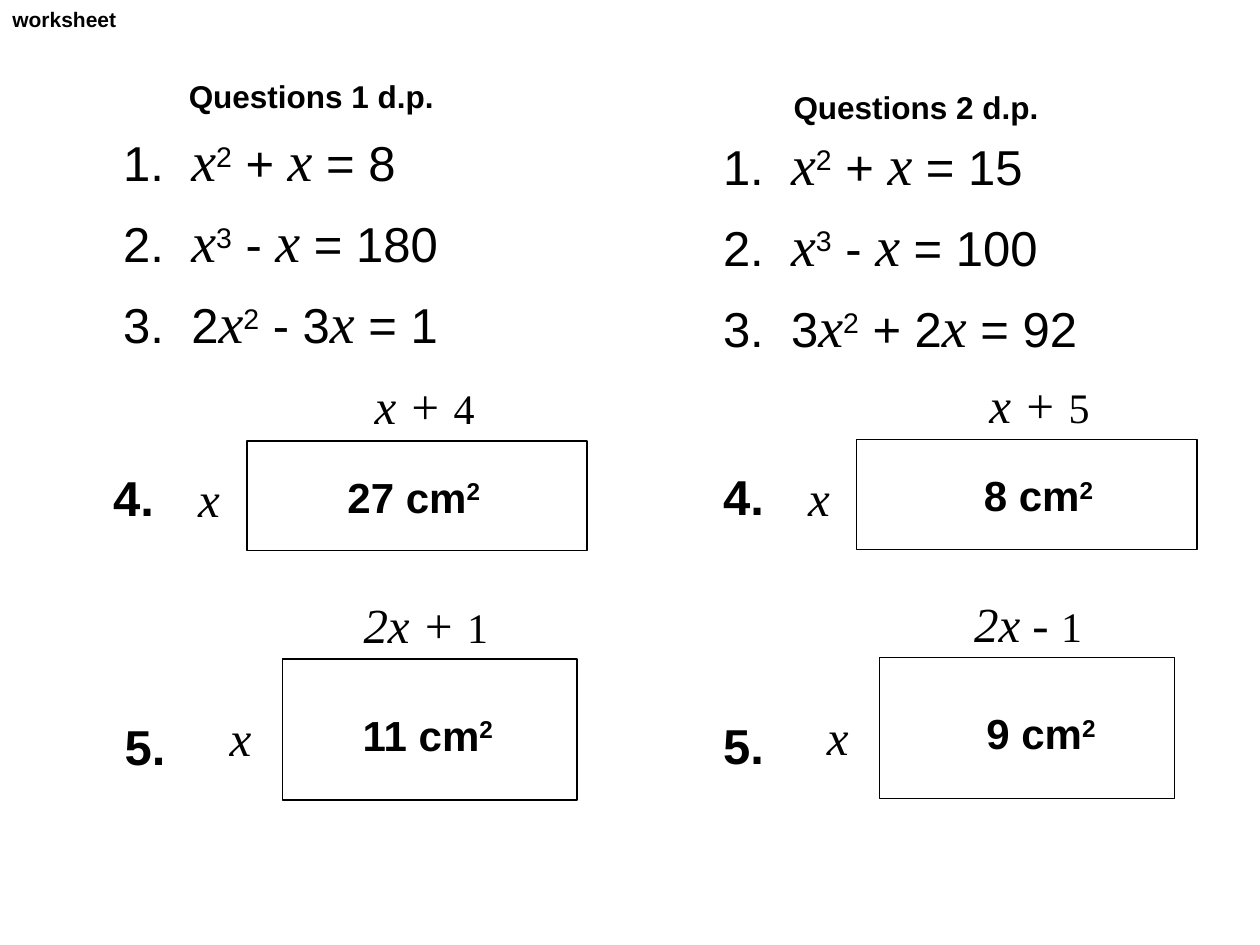
from pptx import Presentation
from pptx.dml.color import RGBColor
from pptx.enum.shapes import MSO_SHAPE
from pptx.enum.text import MSO_AUTO_SIZE, PP_ALIGN
from pptx.util import Inches, Pt

RECTANGLE = MSO_SHAPE.RECTANGLE
GROW = MSO_AUTO_SIZE.SHAPE_TO_FIT_TEXT
LEFT, CENTER = PP_ALIGN.LEFT, PP_ALIGN.CENTER
BLACK = "000000"
SANS, SERIF = "Arial", "Times New Roman"
COLUMNS, ROWS = 100, 75

# name: (font, size, bold, italic, raised)
RUN_STYLES = {
    "plain": (SANS, 28, False, False, False),
    "power": (SANS, 28, False, False, True),
    "variable": (SERIF, 32, False, True, False),
    "side": (SERIF, 28, False, True, False),
    "digit": (SERIF, 24, False, False, False),
    "number": (SANS, 28, True, False, False),
    "area": (SANS, 24, True, False, False),
    "area power": (SANS, 24, True, False, True),
    "heading": (SANS, 18, True, False, False),
    "title": (SANS, 12, True, False, False),
}


def color(value):
    return RGBColor.from_string(value)


class Worksheet:
    """Draws worksheet elements on a grid of 100 columns by 75 rows."""

    def __init__(self):
        self.presentation = Presentation()
        self.presentation.slide_width = Inches(10)
        self.presentation.slide_height = Inches(7.5)
        self.slide = self.presentation.slides.add_slide(self.presentation.slide_layouts[6])

    def place(self, column, row, width, height):
        across = self.presentation.slide_width / COLUMNS
        down = self.presentation.slide_height / ROWS
        return [round(n) for n in (column * across, row * down, width * across, height * down)]

    def text(self, box, runs, alignment=LEFT, right_gap=0, hanging=0):
        shape = self.slide.shapes.add_textbox(*self.place(*box))
        frame = shape.text_frame
        frame.word_wrap = True
        frame.auto_size = GROW
        frame.margin_right = Inches(0.1 + right_gap)
        paragraph = frame.paragraphs[0]
        paragraph.alignment = alignment
        if hanging:
            properties = paragraph._p.get_or_add_pPr()
            properties.set("marL", str(Inches(hanging)))
            properties.set("indent", str(-Inches(hanging)))
        for content, style in runs:
            run = paragraph.add_run()
            run.text = content
            font = run.font
            font.name, size, font.bold, font.italic, raised = RUN_STYLES[style]
            font.size = Pt(size)
            font.color.rgb = color(BLACK)
            if raised:
                font._element.set("baseline", "30000")

    def equation(self, column, row, number, factor, power, middle, result):
        runs = [(f"{number}.\t{factor}", "plain"), ("x", "variable"), (power, "power"),
                (middle, "plain"), ("x", "variable"), (f" = {result}", "plain")]
        self.text((column, row, 33, 6.4), runs, hanging=0.54)

    def rectangle(self, box):
        shape = self.slide.shapes.add_shape(RECTANGLE, *self.place(*box))
        shape.shadow.inherit = False
        shape.fill.background()
        shape.line.color.rgb = color(BLACK)
        shape.line.width = Pt(0.75)

    def area_problem(self, number, number_column, box, offsets, length, area):
        column, row = box[:2]
        side_column, side_row, number_row, area_row, length_row = offsets
        length_column, length_width, expression, digit, length_gap = length
        area_column, value = area
        self.rectangle(box)
        self.text((column + side_column, row + side_row, 10.2, 5.7), [("x", "side")],
                  CENTER, right_gap=0.2)
        self.text((area_column, row + area_row, 14.3, 5),
                  [(f"{value} cm", "area"), ("2", "area power")])
        self.text((length_column, row + length_row, length_width, 5.7),
                  [(expression, "side"), (digit, "digit")], CENTER, length_gap)
        self.text((number_column, row + number_row, 6.9, 5.7), [(f"{number}.", "number")])


# side column, side row, number row, area row, length row
WIDE_OFFSETS = (-7.1, 1.7, 1.6, 1.9, -5.7)
TALL_OFFSETS = (-7.4, 3.4, 4.1, 3.5, -5.6)

QUESTION_SETS = [
    {
        "heading": ("Questions 1 d.p.", (14, 5.6, 22.2, 4)),
        "start": (8.8, 9.5),
        "equations": [("", "2", " + ", 8), ("", "3", " - ", 180), ("2", "2", " - 3", 1)],
        "areas": [
            (4, 8, (19.6, 35, 27, 8.7), WIDE_OFFSETS, (28.6, 10.2, "x + ", "4", 0), (26.6, 27)),
            (5, 8.9, (22.4, 52.3, 23.4, 11.2), TALL_OFFSETS,
             (27.6, 12.4, "2x + ", "1", 0), (27.8, 11)),
        ],
    },
    {
        "heading": ("Questions 2 d.p.", (62, 6.5, 24.6, 4)),
        "start": (56.4, 9.8),
        "equations": [("", "2", " + ", 15), ("", "3", " - ", 100), ("3", "2", " + 2", 92)],
        "areas": [
            (4, 56.4, (68, 34.9, 27, 8.7), WIDE_OFFSETS, (77.4, 10.2, "x + ", "5", 0), (77.1, 8)),
            (5, 56.4, (69.8, 52.2, 23.4, 11.2), TALL_OFFSETS,
             (76, 12.4, "2x - ", "1", 0.12), (77.3, 9)),
        ],
    },
]
EQUATION_STEP = 6.43


def main():
    worksheet = Worksheet()
    worksheet.text((0, 0, 22.2, 3), [("worksheet", "title")])
    for questions in QUESTION_SETS:
        heading, box = questions["heading"]
        worksheet.text(box, [(heading, "heading")])
        column, row = questions["start"]
        for index, equation in enumerate(questions["equations"]):
            worksheet.equation(column, row + index * EQUATION_STEP, index + 1, *equation)
        for problem in questions["areas"]:
            worksheet.area_problem(*problem)
    worksheet.presentation.save("out.pptx")


if __name__ == "__main__":
    main()
